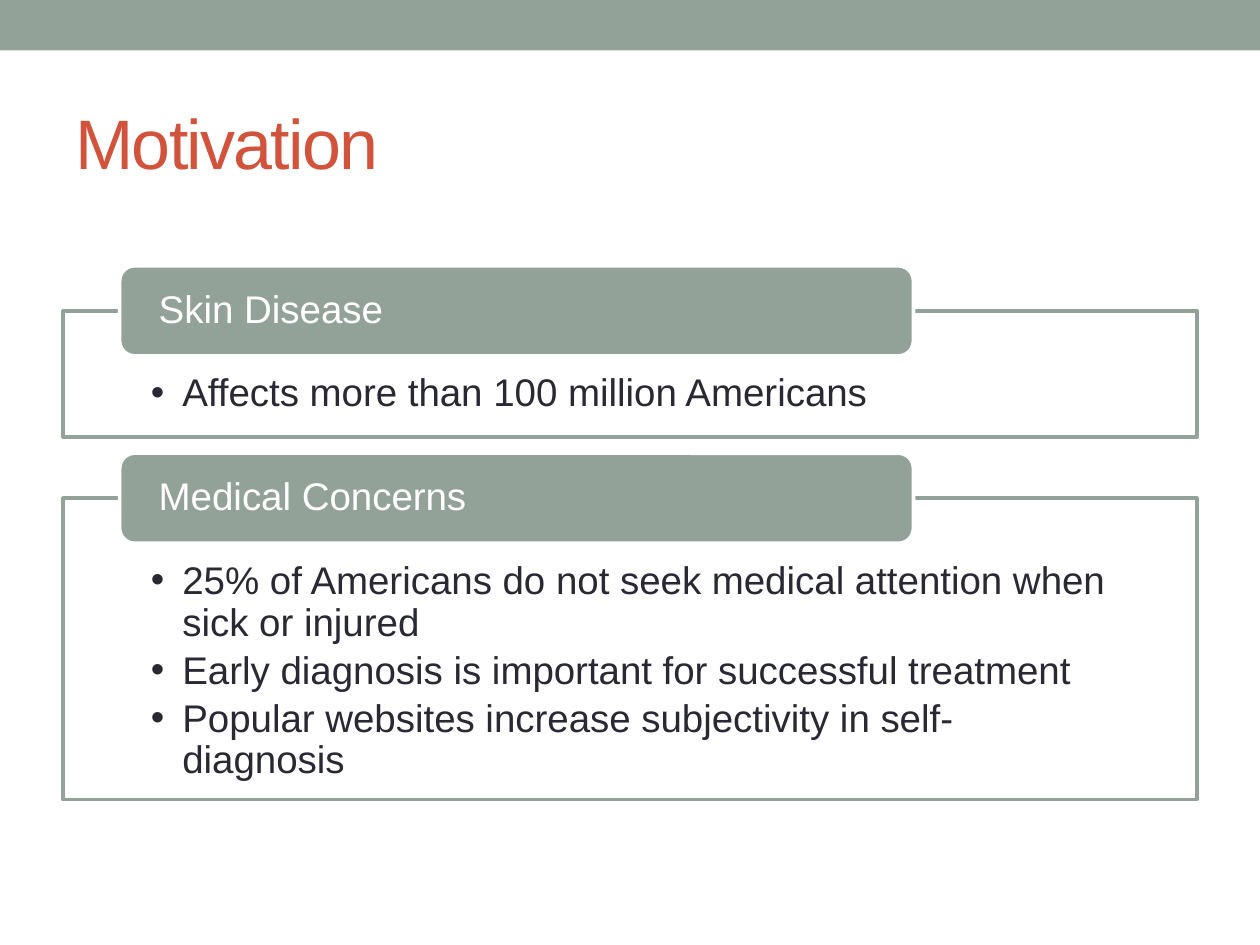
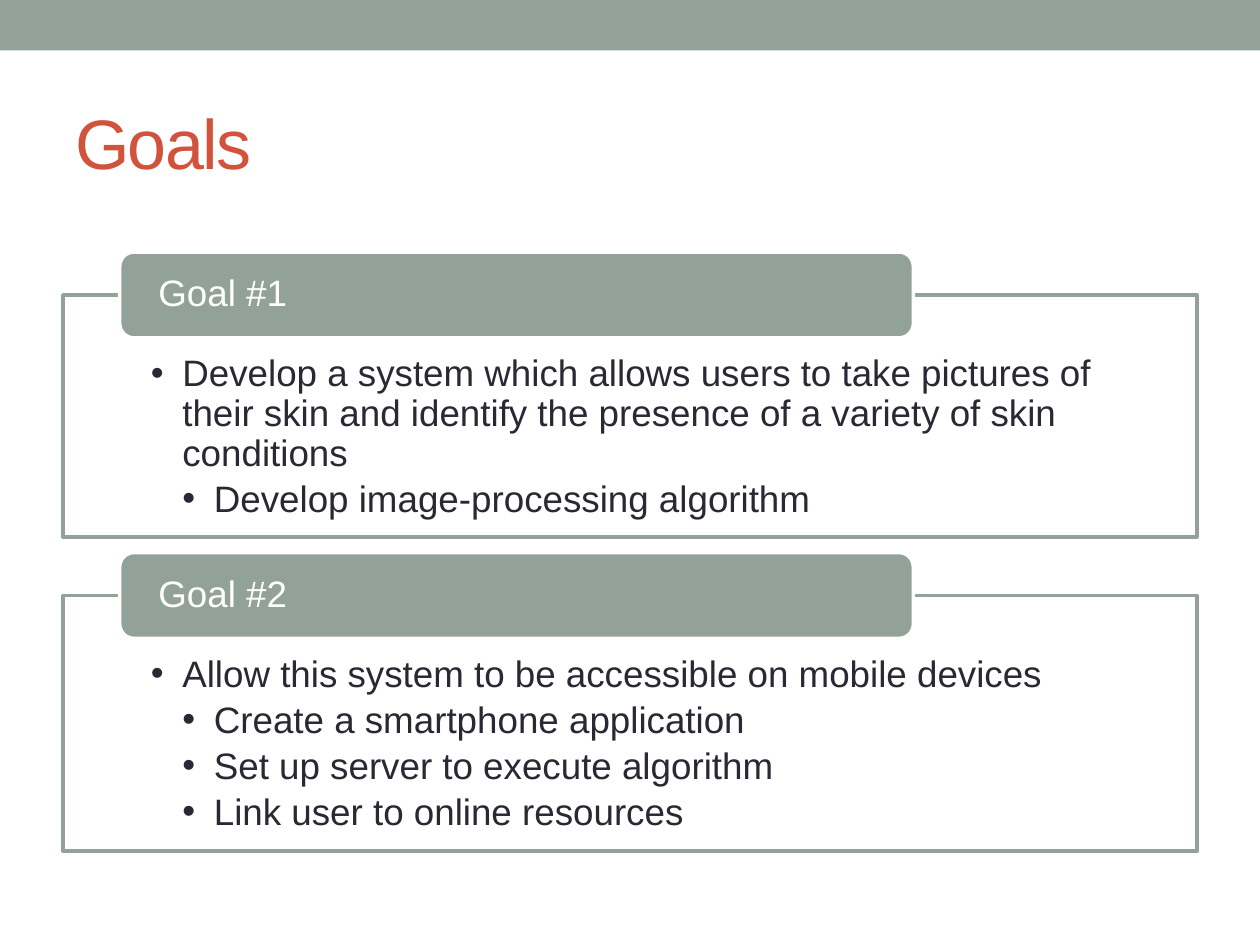
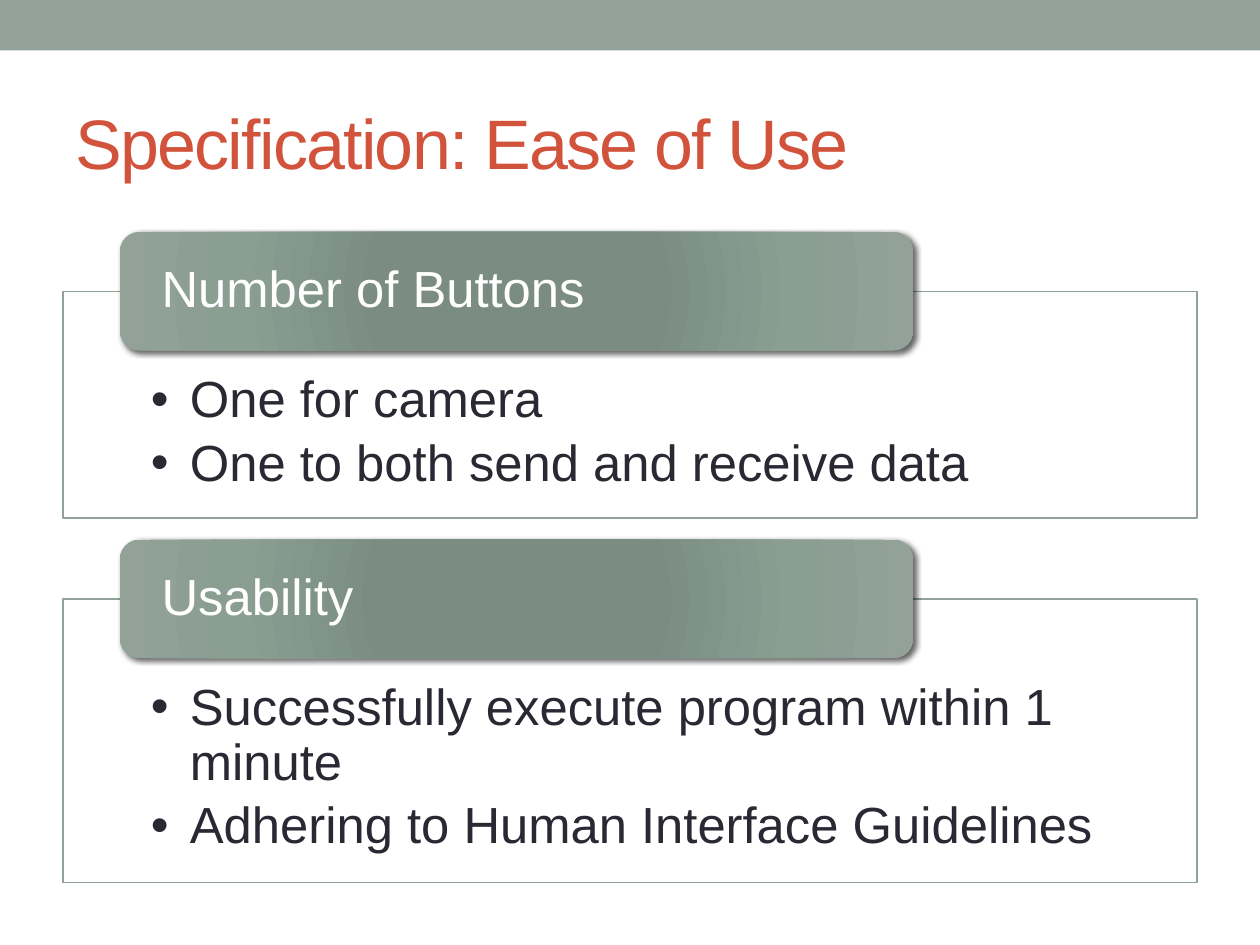
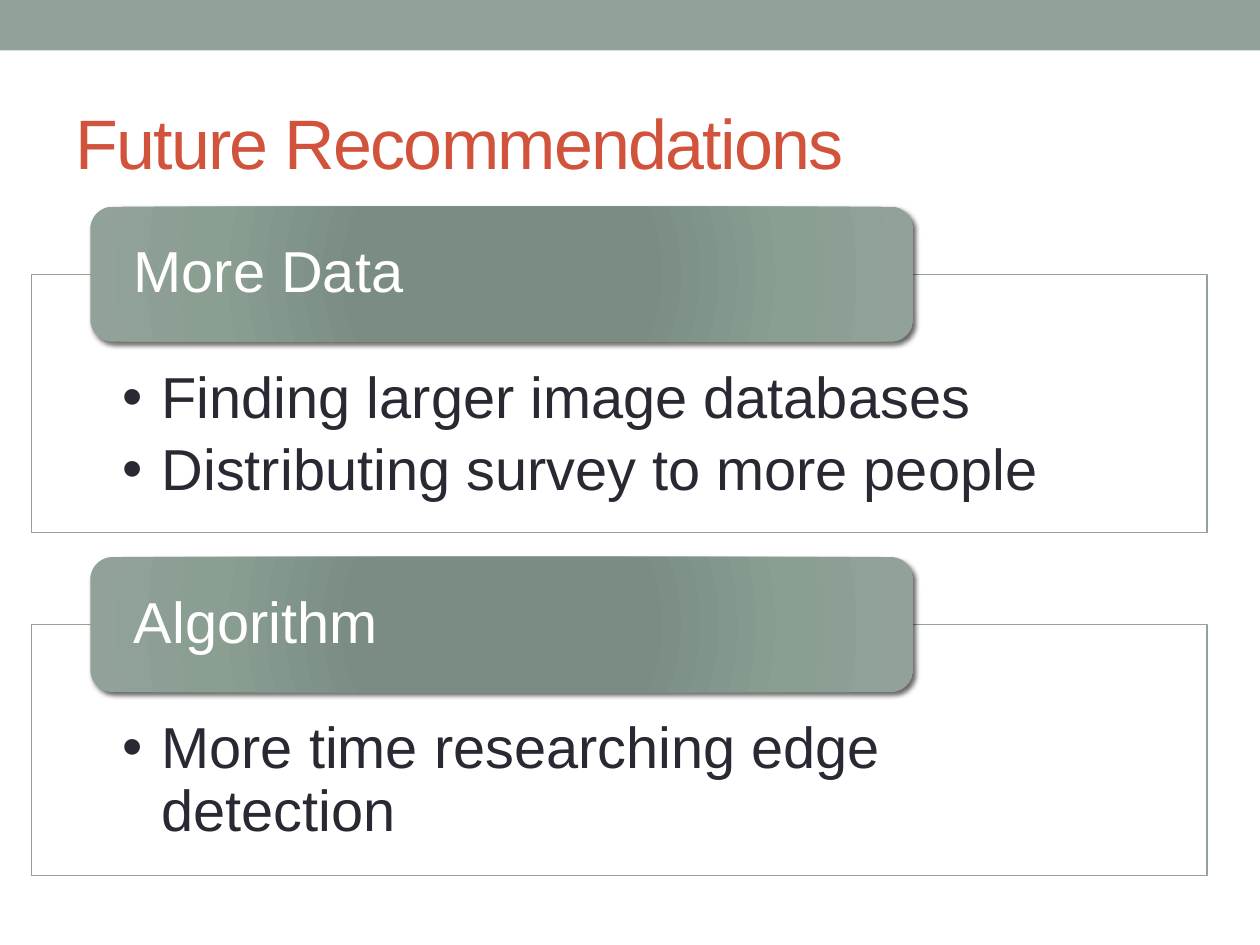
from dataclasses import dataclass

from lxml import etree
from pptx import Presentation
from pptx.dml.color import RGBColor
from pptx.enum.shapes import MSO_SHAPE
from pptx.enum.text import MSO_ANCHOR, PP_ALIGN
from pptx.oxml.ns import qn
from pptx.util import Inches, Pt

RECTANGLE, ROUNDED = MSO_SHAPE.RECTANGLE, MSO_SHAPE.ROUNDED_RECTANGLE
TOP, MIDDLE = MSO_ANCHOR.TOP, MSO_ANCHOR.MIDDLE
LEFT = PP_ALIGN.LEFT

FONT = "Arial"
COLORS = {"sage": "93A299", "title": "D2533C", "text": "292934", "white": "FFFFFF", "shadow": "000000"}
GLOSS_STOPS = ((0, "7B8E82"), (34, "7B8D83"), (70, "8A9E92"), (100, COLORS["sage"]))

PAGE_WIDTH, PAGE_HEIGHT = 10, 7.5
BAND_HEIGHT = 0.4
TITLE_BOX = (0.5, 0.58, 9, 1.08)


@dataclass
class ListStyle:
    """Look of a stack of sections; lengths in inches, text size in points."""
    size: int
    glossy: bool

    @property
    def tab_height(self):
        return 0.0325 * self.size

    @property
    def gap(self):
        return 0.0059 * self.size

    @property
    def body_inset(self):
        return 0.0227 * self.size

    @property
    def indent(self):
        return 0.31 if self.glossy else 0.25

    @property
    def frame_line(self):
        return 0.75 if self.glossy else 2.08


def rgb(name):
    return RGBColor.from_string(COLORS[name])


def add_element(parent, tag, **attributes):
    element = etree.SubElement(parent, qn(tag))
    for name, value in attributes.items():
        element.set(name, str(value))
    return element


def add_block(page, kind, box, fill, line=None, line_width=0):
    shape = page.shapes.add_shape(kind, *(Inches(length) for length in box))
    shape.shadow.inherit = False
    shape.fill.solid()
    shape.fill.fore_color.rgb = rgb(fill)
    if line:
        shape.line.color.rgb = rgb(line)
        shape.line.width = Pt(line_width)
    else:
        shape.line.fill.background()
    return shape


def prepare_text(shape, anchor, side, top=0):
    frame = shape.text_frame
    frame.word_wrap = True
    frame.vertical_anchor = anchor
    frame.margin_left = frame.margin_right = Inches(side)
    frame.margin_top, frame.margin_bottom = Inches(top), 0
    return frame


def format_paragraph(para, size, color):
    para.alignment = LEFT
    for span in para.runs:
        span.font.name = FONT
        span.font.size = Pt(size)
        span.font.color.rgb = rgb(color)


def make_glossy(shape):
    """Give a shape the radial gradient and the soft drop shadow."""
    properties = shape.fill._xPr
    gradient = etree.Element(qn("a:gradFill"), rotWithShape="1")
    stops = add_element(gradient, "a:gsLst")
    for position, color in GLOSS_STOPS:
        stop = add_element(stops, "a:gs", pos=position * 1000)
        add_element(stop, "a:srgbClr", val=color)
    shading = add_element(gradient, "a:path", path="circle")
    add_element(shading, "a:fillToRect", **dict.fromkeys("ltrb", 100000))
    properties.replace(properties.find(qn("a:solidFill")), gradient)
    shadow = add_element(properties.find(qn("a:effectLst")), "a:outerShdw", blurRad=Pt(3),
                         dist=Pt(2), dir=45 * 60000, rotWithShape=0)
    color = add_element(shadow, "a:srgbClr", val=COLORS["shadow"])
    add_element(color, "a:alpha", val=60000)


def add_bullet(para, level, indent):
    properties = para._p.get_or_add_pPr()
    properties.set("marL", str(Inches(indent * level)))
    properties.set("indent", str(-Inches(indent)))
    add_element(properties, "a:buFont", typeface=FONT)
    add_element(properties, "a:buChar", char="•")


def draw_frame(page, box, style, items):
    """Outlined box with bullets; items are (level, text) pairs."""
    shape = add_block(page, RECTANGLE, box, "white", "sage", style.frame_line)
    frame = prepare_text(shape, TOP, 0.0775 * box[2], style.body_inset)
    for number, (level, text) in enumerate(items):
        para = frame.add_paragraph() if number else frame.paragraphs[0]
        para.text = text
        para.level = level
        para.line_spacing = 0.9
        para.space_after = Pt(round(0.17 * style.size, 1))
        add_bullet(para, level, style.indent)
        format_paragraph(para, style.size, "text")


def draw_tab(page, box, style, heading):
    if style.glossy:
        shape = add_block(page, ROUNDED, box, "sage")
        make_glossy(shape)
    else:
        shape = add_block(page, ROUNDED, box, "sage", "white", style.frame_line)
    frame = prepare_text(shape, MIDDLE, 0.24 + 0.05 * box[3])
    para = frame.paragraphs[0]
    para.text = heading
    para.line_spacing = 0.9
    format_paragraph(para, style.size, "white")


def draw_sections(page, left, top, width, style, sections):
    """Stack sections downwards; each is (heading, frame height, items)."""
    for heading, height, items in sections:
        frame_top = top + style.tab_height / 2
        draw_frame(page, (left, frame_top, width, height), style, items)
        tab_box = (left + 0.05 * width, top, 0.7 * width, style.tab_height)
        draw_tab(page, tab_box, style, heading)
        top = frame_top + height + style.gap


def add_page(deck, title):
    page = deck.slides.add_slide(deck.slide_layouts[6])
    add_block(page, RECTANGLE, (0, 0, PAGE_WIDTH, BAND_HEIGHT), "sage")
    box = page.shapes.add_textbox(*(Inches(length) for length in TITLE_BOX))
    para = prepare_text(box, MIDDLE, 0.1).paragraphs[0]
    para.text = title
    format_paragraph(para, 40, "title")
    para.runs[0].font._element.set("spc", "-100")
    return page


PAGES = [
    ("Motivation", (0.5, 2.11, 9), ListStyle(22, False), [
        ("Skin Disease", 1, [(1, "Affects more than 100 million Americans")]),
        ("Medical Concerns", 2.39, [
            (1, "25% of Americans do not seek medical attention when sick or injured"),
            (1, "Early diagnosis is important for successful treatment"),
            (1, "Popular websites increase subjectivity in self-diagnosis")]),
    ]),
    ("Goals", (0.5, 2, 9), ListStyle(21, False), [
        ("Goal #1", 1.92, [
            (1, "Develop a system which allows users to take pictures of their skin "
                "and identify the presence of a variety of skin conditions"),
            (2, "Develop image-processing algorithm")]),
        ("Goal #2", 2.03, [
            (1, "Allow this system to be accessible on mobile devices"),
            (2, "Create a smartphone application"),
            (2, "Set up server to execute algorithm"),
            (2, "Link user to online resources")]),
    ]),
    ("Specification: Ease of Use", (0.5, 1.84, 9), ListStyle(29, True), [
        ("Number of Buttons", 1.8, [
            (1, "One for camera"),
            (1, "One to both send and receive data")]),
        ("Usability", 2.25, [
            (1, "Successfully execute program within 1 minute"),
            (1, "Adhering to Human Interface Guidelines")]),
    ]),
    ("Future Recommendations", (0.25, 1.64, 9.33), ListStyle(33, True), [
        ("More Data", 2.05, [
            (1, "Finding larger image databases"),
            (1, "Distributing survey to more people")]),
        ("Algorithm", 1.99, [(1, "More time researching edge detection")]),
    ]),
]


def main():
    deck = Presentation()
    deck.slide_width, deck.slide_height = Inches(PAGE_WIDTH), Inches(PAGE_HEIGHT)
    for title, (left, top, width), style, sections in PAGES:
        page = add_page(deck, title)
        draw_sections(page, left, top, width, style, sections)
    deck.save("out.pptx")


if __name__ == "__main__":
    main()
